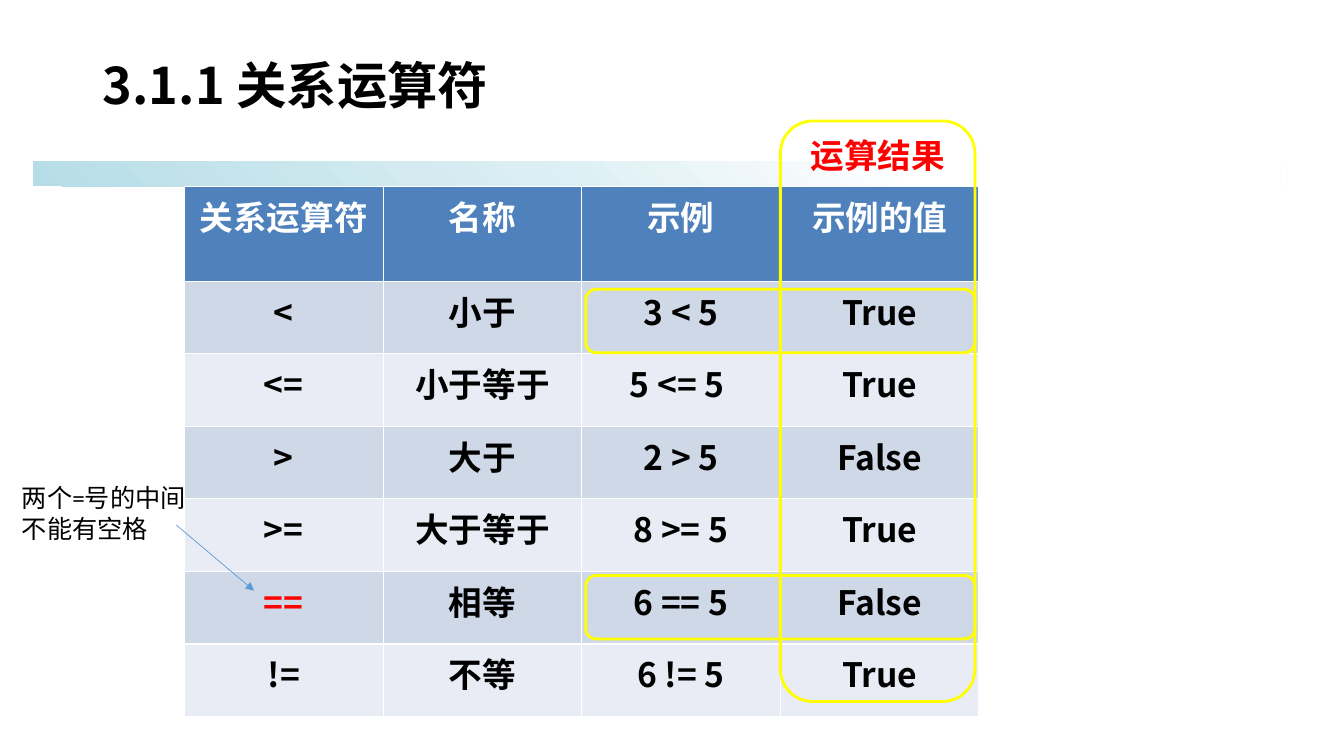
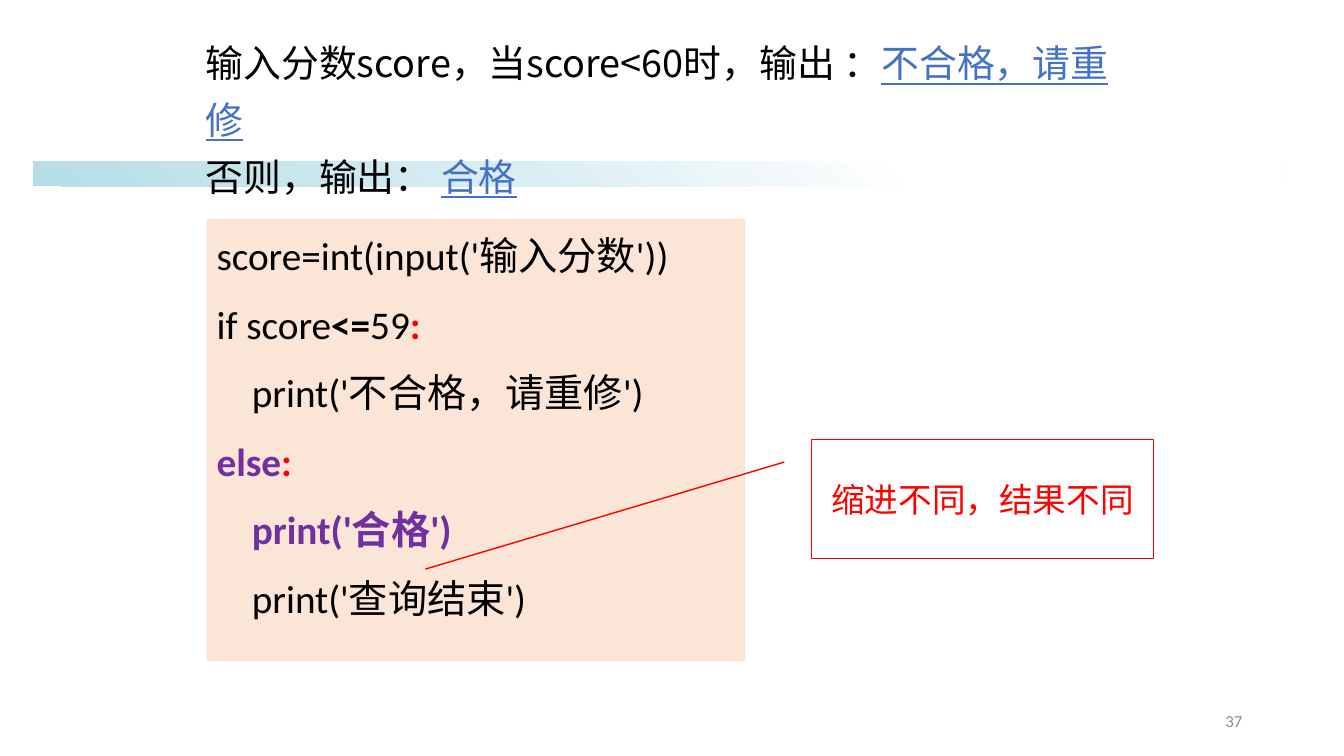
from dataclasses import dataclass
from typing import Optional, Sequence

from lxml import etree
from pptx import Presentation
from pptx import util as u
from pptx.dml.color import RGBColor
from pptx.enum import shapes, text
from pptx.oxml import ns
from pptx.util import Inches

BLACK = RGBColor(0x00, 0x00, 0x00)
WHITE = RGBColor(0xFF, 0xFF, 0xFF)
RED = RGBColor(0xFF, 0x00, 0x00)
YELLOW = RGBColor(0xFF, 0xFF, 0x00)
PURPLE = RGBColor(0x70, 0x30, 0xA0)
LINK_BLUE = RGBColor(0x44, 0x72, 0xC4)
ARROW_BLUE = RGBColor(0x5B, 0x9B, 0xD5)
GREY = RGBColor(0x8C, 0x8C, 0x8C)
PEACH = RGBColor(0xFB, 0xE5, 0xD6)
HEADER_FILL = RGBColor(0x4F, 0x81, 0xBD)
ROW_FILLS = (RGBColor(0xCF, 0xD8, 0xE7), RGBColor(0xE9, 0xEC, 0xF4))
BAND_STOPS = (
    (0, RGBColor(0xB6, 0xDD, 0xE7)),
    (40, RGBColor(0xDA, 0xEE, 0xF3)),
    (70, WHITE),
    (100, WHITE),
)
CJK, LATIN = "Noto Sans CJK SC", "Calibri"
ALIGN, ANCHOR, SHAPE = text.PP_ALIGN, text.MSO_ANCHOR, shapes.MSO_SHAPE


@dataclass(frozen=True)
class Box:
    left: float
    top: float
    width: float
    height: float

    def emu(self) -> tuple:
        return tuple(Inches(v) for v in (self.left, self.top, self.width, self.height))


@dataclass(frozen=True)
class Style:
    size: float
    color: RGBColor = BLACK
    font: str = CJK
    bold: bool = False
    underline: bool = False


@dataclass(frozen=True)
class Span:
    text: str
    color: RGBColor = BLACK
    bold: bool = False
    underline: bool = False


@dataclass(frozen=True)
class CodeLine:
    spans: Sequence[Span]
    indent: float = 0


OPERATORS = (
    ("关系运算符", "名称", "示例", "示例的值"),
    ("<", "小于", "3 < 5", "True"),
    ("<=", "小于等于", "5 <= 5 ", "True"),
    (">", "大于", "2 > 5", "False"),
    (">=", "大于等于", "8 >= 5", "True"),
    ("==", "相等", "6 == 5", "False"),
    ("!=", "不等", "6 != 5", "True"),
)
TASK_LINES = (
    (Span("输入分数score，当score<60时，输出 ："),
     Span("不合格，请重修", LINK_BLUE, underline=True)),
    (Span("否则，输出： "), Span("合格", LINK_BLUE, underline=True)),
)
INDENT = 0.35
CODE = (
    CodeLine([Span("score=int(input('输入分数'))")]),
    CodeLine([Span("if score"), Span("<=", bold=True), Span("59"),
              Span(":", RED, bold=True)]),
    CodeLine([Span("print('不合格，请重修')")], INDENT),
    CodeLine([Span("else", PURPLE, bold=True), Span(":", RED, bold=True)]),
    CodeLine([Span("print('合格')", PURPLE, bold=True)], INDENT),
    CodeLine([Span("print('查询结束')")], INDENT),
)


def style_run(r, style: Style) -> None:
    f = r.font
    f.name, f.size = style.font, u.Pt(style.size)
    f.bold, f.underline = style.bold, style.underline
    f.color.rgb = style.color
    etree.SubElement(r._r.get_or_add_rPr(), ns.qn("a:ea"), typeface=CJK)


def write(tf, content: str, style: Style, align=ALIGN.LEFT, anchor=ANCHOR.TOP) -> None:
    tf.text = content
    tf.word_wrap = True
    tf.auto_size = text.MSO_AUTO_SIZE.NONE
    tf.vertical_anchor = anchor
    p = tf.paragraphs[0]
    p.alignment = align
    for r in p.runs:
        style_run(r, style)


def add_spans(p, spans: Sequence[Span], size: float, font: str) -> None:
    for span in spans:
        r = p.add_run()
        r.text = span.text
        style_run(r, Style(size, span.color, font, span.bold, span.underline))


def add_shape(s, kind, box: Box, fill: Optional[RGBColor] = None,
              line: Optional[RGBColor] = None, width: float = 1):
    sp = s.shapes.add_shape(kind, *box.emu())
    sp.shadow.inherit = False
    if fill is None:
        sp.fill.background()
    else:
        sp.fill.solid()
        sp.fill.fore_color.rgb = fill
    if line is None:
        sp.line.fill.background()
    else:
        sp.line.color.rgb = line
        sp.line.width = u.Pt(width)
    return sp


def add_text(s, box: Box, content: str, style: Style, **layout) -> None:
    write(s.shapes.add_textbox(*box.emu()).text_frame, content, style, **layout)


def add_arrow(s, start: tuple, end: tuple) -> None:
    cx = s.shapes.add_connector(
        shapes.MSO_CONNECTOR.STRAIGHT, *(Inches(v) for v in start + end))
    cx.line.color.rgb = ARROW_BLUE
    cx.line.width = u.Pt(0.5)
    etree.SubElement(cx.line._get_or_add_ln(), ns.qn("a:tailEnd"), type="triangle")
    etree.SubElement(cx.element.spPr, ns.qn("a:effectLst"))


def add_band(s, layout) -> None:
    """Draw the gradient band and move it to the layout, behind its placeholders."""
    band = add_shape(s, SHAPE.RECTANGLE, Box(0.33, 1.6, 12.44, 0.25))
    band.fill.gradient()
    grad = band.element.spPr.find(ns.qn("a:gradFill"))
    for child in list(grad):
        grad.remove(child)
    stops = etree.SubElement(grad, ns.qn("a:gsLst"))
    for percent, color in BAND_STOPS:
        stop = etree.SubElement(stops, ns.qn("a:gs"), pos=str(percent * 1000))
        etree.SubElement(stop, ns.qn("a:srgbClr"), val=str(color))
    etree.SubElement(grad, ns.qn("a:lin"), ang=str(315 * 60000), scaled="0")
    band.element.nvSpPr.cNvPr.set("id", "20")
    layout.shapes.element.insert(2, band.element)


def place_title(s, box: Box):
    title = s.shapes.title
    title.left, title.top, title.width, title.height = box.emu()
    return title.text_frame


def add_operator_table(s) -> None:
    rows, cols = len(OPERATORS), len(OPERATORS[0])
    table = s.shapes.add_table(rows, cols, *Box(1.83, 1.85, 7.87, 5.24).emu()).table
    for col in table.columns:
        col.width = Inches(1.97)
    for i, values in enumerate(OPERATORS):
        table.rows[i].height = Inches(0.72 if i else 0.94)
        for j, value in enumerate(values):
            cell = table.cell(i, j)
            cell.fill.solid()
            cell.fill.fore_color.rgb = ROW_FILLS[(i - 1) % 2] if i else HEADER_FILL
            color = RED if value == "==" else BLACK if i else WHITE
            cell.text = value
            p = cell.text_frame.paragraphs[0]
            p.alignment = ALIGN.CENTER
            style_run(p.runs[0], Style(24, color, bold=True))


def build_operators(s) -> None:
    tf = place_title(s, Box(0.92, 0.4, 11.5, 1.45))
    write(tf, "3.1.1 关系运算符", Style(36, bold=True), anchor=ANCHOR.BOTTOM)
    tf.margin_bottom = Inches(0.7)
    tf.paragraphs[0].line_spacing = 0.9
    add_operator_table(s)
    for top in (2.87, 5.71):
        add_shape(s, SHAPE.ROUNDED_RECTANGLE, Box(5.81, top, 3.86, 0.63),
                  line=YELLOW, width=2)
    result = add_shape(s, SHAPE.ROUNDED_RECTANGLE, Box(7.74, 1.2, 1.93, 5.76),
                       line=YELLOW, width=2)
    write(result.text_frame, "运算结果", Style(24, RED, bold=True), ALIGN.CENTER)
    add_arrow(s, (1.75, 5.21), (2.52, 5.86))
    add_text(s, Box(0.12, 4.74, 1.83, 0.71), "两个=号的中间不能有空格",
             Style(18, font=LATIN))


def build_score_task(s) -> None:
    tf = place_title(s, Box(1.94, 0.1, 9.4, 2.06))
    tf.auto_size = text.MSO_AUTO_SIZE.NONE
    tf.vertical_anchor = ANCHOR.MIDDLE
    p = tf.paragraphs[0]
    p.alignment = ALIGN.LEFT
    p.line_spacing = 1.25
    for i, spans in enumerate(TASK_LINES):
        if i:
            p.add_line_break()
        add_spans(p, spans, 27, CJK)

    code = add_shape(s, SHAPE.RECTANGLE, Box(2.05, 2.17, 5.34, 4.39), fill=PEACH)
    tf = code.text_frame
    tf.vertical_anchor = ANCHOR.TOP
    for i, line in enumerate(CODE):
        p = tf.add_paragraph() if i else tf.paragraphs[0]
        p.alignment = ALIGN.LEFT
        p.line_spacing, p.space_before = u.Pt(39), u.Pt(10)
        p._p.get_or_add_pPr().set("marL", str(Inches(line.indent)))
        add_spans(p, line.spans, 28, LATIN)

    add_text(s, Box(9.42, 6.95, 3, 0.4), "37", Style(12, GREY, LATIN),
             align=ALIGN.RIGHT, anchor=ANCHOR.MIDDLE)
    callout = add_shape(s, SHAPE.LINE_CALLOUT_1, Box(8.05, 4.36, 3.39, 1.18), line=RED)
    for i, value in enumerate((0.19, -0.08, 1.09, -1.13)):
        callout.adjustments[i] = value
    write(callout.text_frame, "缩进不同，结果不同", Style(24, RED),
          ALIGN.CENTER, ANCHOR.MIDDLE)


def main() -> None:
    prs = Presentation()
    prs.slide_width, prs.slide_height = Inches(13.33), Inches(7.5)
    layout = prs.slide_layouts[5]
    for i, build in enumerate((build_operators, build_score_task)):
        s = prs.slides.add_slide(layout)
        if i == 0:
            add_band(s, layout)
        build(s)
    prs.save("out.pptx")


if __name__ == "__main__":
    main()
